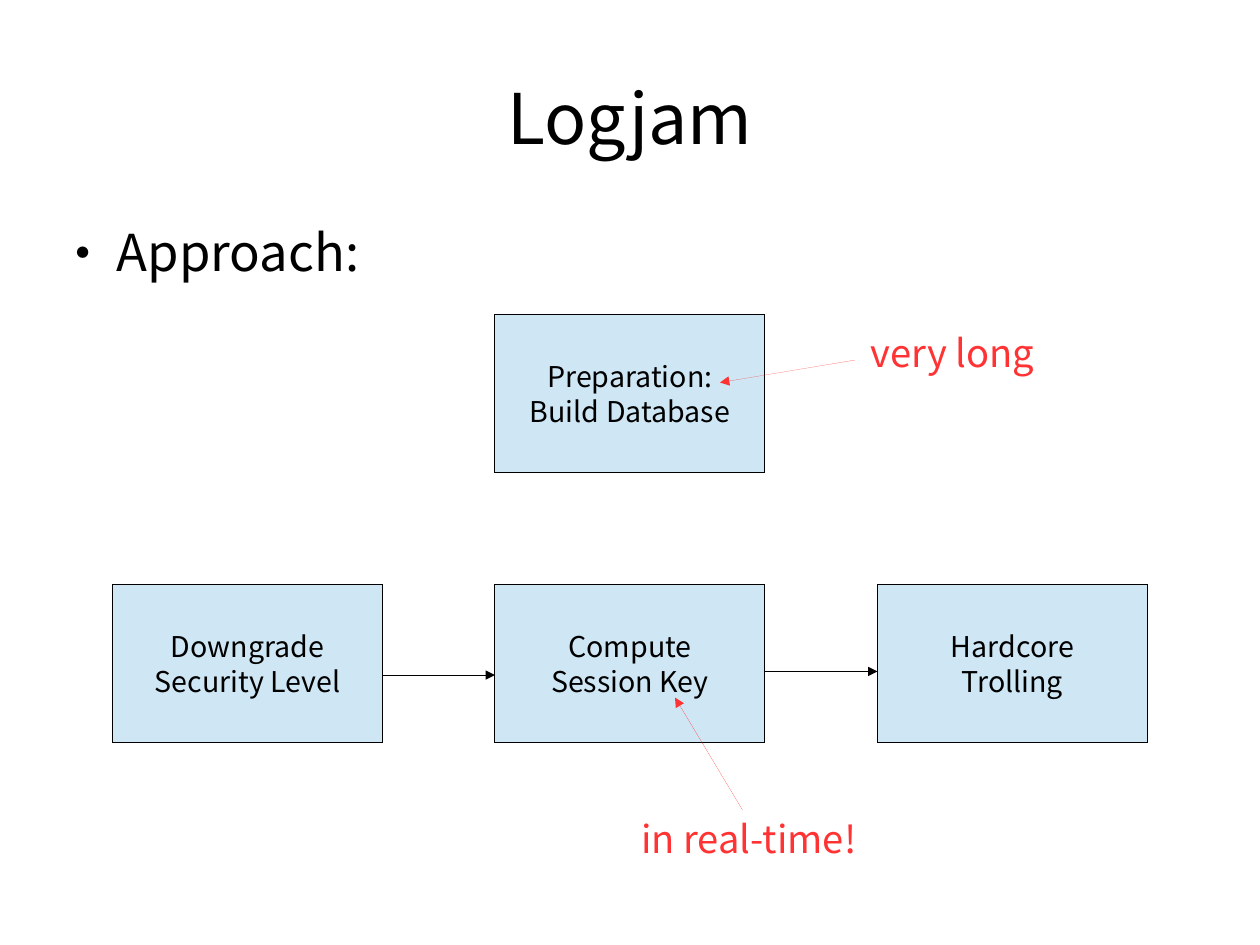
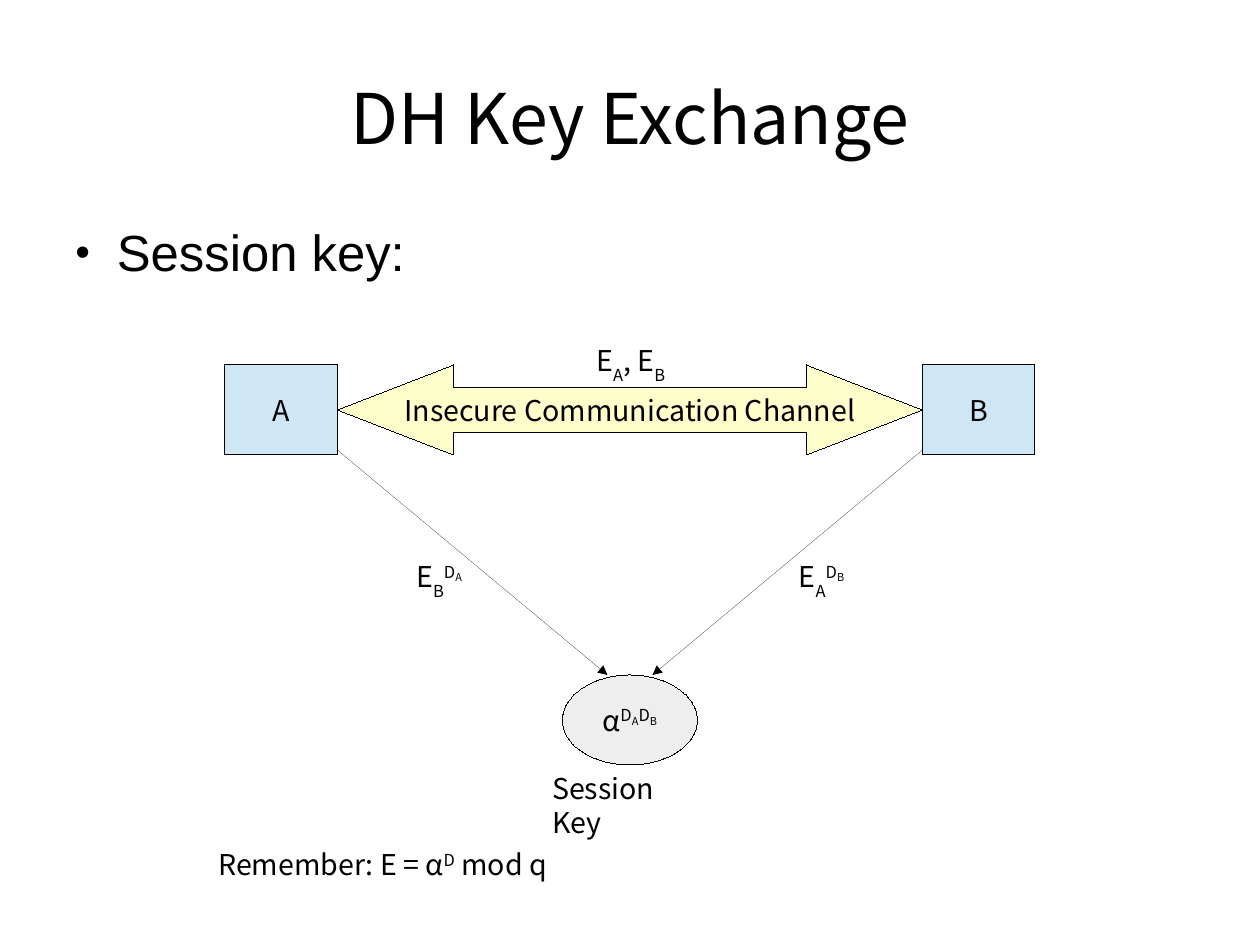
from dataclasses import dataclass

from lxml import etree
from pptx import Presentation
from pptx.dml.color import RGBColor
from pptx.enum.shapes import MSO_CONNECTOR, MSO_SHAPE
from pptx.enum.text import MSO_ANCHOR, MSO_AUTO_SIZE, PP_ALIGN
from pptx.oxml.ns import qn
from pptx.util import Pt

RECTANGLE = MSO_SHAPE.RECTANGLE
ELLIPSE = MSO_SHAPE.OVAL
DOUBLE_ARROW = MSO_SHAPE.LEFT_RIGHT_ARROW
STRAIGHT = MSO_CONNECTOR.STRAIGHT
LEFT, CENTER = PP_ALIGN.LEFT, PP_ALIGN.CENTER
TOP, MIDDLE = MSO_ANCHOR.TOP, MSO_ANCHOR.MIDDLE
NO_FIT = MSO_AUTO_SIZE.NONE
TITLE_ONLY = 5


@dataclass(frozen=True)
class Theme:
    font: str = "Noto Sans CJK TC"
    plain_font: str = "Arial"
    ink: str = "000000"
    accent: str = "FF3333"
    box: str = "CFE7F5"
    channel: str = "FFFFCC"
    key: str = "EEEEEE"
    title_size: int = 44
    bullet_size: int = 32
    note_size: int = 24
    label_size: int = 18
    script_size: int = 12


THEME = Theme()
SLIDE_SIZE = (793.7, 595.28)
TITLE_AREA = (39.68, 23.7, 714.33, 99.4)
BODY_AREA = (39.68, 139.3, 714.33, 393)
INSETS = (7.2, 3.6, 7.2, 3.6)
NO_INSETS = (0, 0, 0, 0)


def apply(target, values):
    for name, value in values.items():
        setattr(target, name, value)


def points(lengths):
    return [Pt(length) for length in lengths]


def place(shape, area):
    apply(shape, dict(zip(("left", "top", "width", "height"), points(area))))


def sub(base):
    return (base, -33, THEME.label_size)


def sup(base, size=THEME.label_size):
    return (base, 33, size)


def small(base):
    return sup(base, THEME.script_size)


def write(shape, lines, size=THEME.label_size, color=THEME.ink, font=THEME.font,
          align=CENTER, anchor=MIDDLE, insets=INSETS, wrap=True):
    frame = shape.text_frame
    margins = ("margin_left", "margin_top", "margin_right", "margin_bottom")
    apply(frame, {"word_wrap": wrap, "auto_size": NO_FIT, "vertical_anchor": anchor,
                  **dict(zip(margins, points(insets)))})
    for index, line in enumerate(lines):
        para = frame.paragraphs[0] if index == 0 else frame.add_paragraph()
        para.alignment = align
        for part in [line] if isinstance(line, str) else line:
            text, baseline, span_size = (part, 0, size) if isinstance(part, str) else part
            span = para.add_run()
            span.text = text
            apply(span.font, {"name": font, "size": Pt(span_size)})
            span.font.color.rgb = RGBColor.from_string(color)
            if baseline:
                span._r.get_or_add_rPr().set("baseline", str(baseline * 1000))


def draw_hairline(shape, color):
    shape.line.color.rgb = RGBColor.from_string(color)
    outline = shape._element.spPr.find(qn("a:ln"))
    outline.set("w", "0")
    return outline


def add_page(deck, title):
    page = deck.slides.add_slide(deck.slide_layouts[TITLE_ONLY])
    place(page.shapes.title, TITLE_AREA)
    write(page.shapes.title, [title], THEME.title_size, insets=NO_INSETS)
    return page


def add_label(page, area, lines, **formats):
    label = page.shapes.add_textbox(*points(area))
    write(label, lines, **{"align": LEFT, "anchor": TOP, **formats})
    return label


def add_bullet(page, text, font=THEME.font):
    body = add_label(page, BODY_AREA, [text], size=THEME.bullet_size,
                     font=font, insets=NO_INSETS)
    para = body.text_frame.paragraphs[0]
    properties = para._p.get_or_add_pPr()
    properties.set("marL", str(Pt(34)))
    properties.set("indent", str(Pt(-25.5)))
    color = etree.SubElement(properties, qn("a:buClr"))
    etree.SubElement(color, qn("a:srgbClr"), val=THEME.ink)
    etree.SubElement(properties, qn("a:buSzPct"), val="25000")
    etree.SubElement(properties, qn("a:buFont"), typeface=THEME.font)
    etree.SubElement(properties, qn("a:buChar"), char="●")
    para.space_after = Pt(14.2)


def add_block(page, area, lines, kind=RECTANGLE, fill=THEME.box, wrap=True):
    block = page.shapes.add_shape(kind, *points(area))
    block.shadow.inherit = False
    block.fill.solid()
    block.fill.fore_color.rgb = RGBColor.from_string(fill)
    draw_hairline(block, THEME.ink)
    write(block, lines, wrap=wrap)
    return block


def add_arrow(page, start, end, color=THEME.ink):
    arrow = page.shapes.add_connector(STRAIGHT, *points(start + end))
    outline = draw_hairline(arrow, color)
    etree.SubElement(outline, qn("a:tailEnd"), type="triangle")
    etree.SubElement(arrow._element.spPr, qn("a:effectLst"))


def build_logjam(deck):
    page = add_page(deck, "Logjam")
    add_bullet(page, "Approach:")
    width, height, gap = 170.08, 99.2, 70.87
    steps = [["Downgrade", "Security Level"], ["Compute", "Session Key"],
             ["Hardcore", "Trolling"]]
    lefts = [gap + column * (width + gap) for column in range(len(steps))]
    add_block(page, (lefts[1], 198.4, width, height), ["Preparation:", "Build Database"])
    for left, lines in zip(lefts, steps):
        add_block(page, (left, 368.5, width, height), lines)
    for left, y in zip(lefts, (425.2, 423)):
        add_arrow(page, (left + width, y), (left + width + gap, y))
    notes = [
        ("very long", (541.4, 203.8, 124.6, 39.6), (538.6, 226.8), (453.5, 241)),
        ("in real-time!", (396.9, 510.2, 156.2, 39.6), (467.7, 510.2), (425.2, 439.4)),
    ]
    for text, area, start, end in notes:
        add_label(page, area, [text], size=THEME.note_size, color=THEME.accent)
        add_arrow(page, start, end, THEME.accent)


def build_key_exchange(deck):
    page = add_page(deck, "DH Key Exchange")
    add_bullet(page, "Session key:", THEME.plain_font)
    top, height, party_width = 229.9, 56.7, 70.87
    left, channel_width = 141.7, 368.5
    inner_left = left + party_width
    inner_right = inner_left + channel_width
    add_block(page, (left, top, party_width, height), ["A"])
    add_block(page, (inner_right, top, party_width, height), ["B"])
    channel = add_block(page, (inner_left, top, channel_width, height),
                        ["Insecure Communication Channel"], DOUBLE_ARROW,
                        THEME.channel, wrap=False)
    channel.adjustments[1] = 1.29
    add_label(page, (368.5, 212.6, 70.9, 35.3), [["E", sub("A"), ", E", sub("B")]])
    add_block(page, (354.3, 425.2, 85.04, height),
              [["α", sup("D"), small("A"), sup("D"), small("B")]], ELLIPSE, THEME.key)
    for start_x, end_x, label_left, public, private in [
        (inner_left, 382.7, 255.1, "B", "A"),
        (inner_right, 411, 496.1, "A", "B"),
    ]:
        add_arrow(page, (start_x, 283.5), (end_x, 425.2))
        add_label(page, (label_left, 348.7, 60, 35.3),
                  [["E", sub(public), sup("D"), small(private)]])
    add_label(page, (130.4, 530, 229, 31.7), [["Remember: E = α", sup("D"), " mod q"]])
    add_label(page, (340.7, 481.9, 113, 53), ["Session", "Key"])


def main():
    deck = Presentation()
    apply(deck, dict(zip(("slide_width", "slide_height"), points(SLIDE_SIZE))))
    build_logjam(deck)
    build_key_exchange(deck)
    deck.save("out.pptx")


if __name__ == "__main__":
    main()
